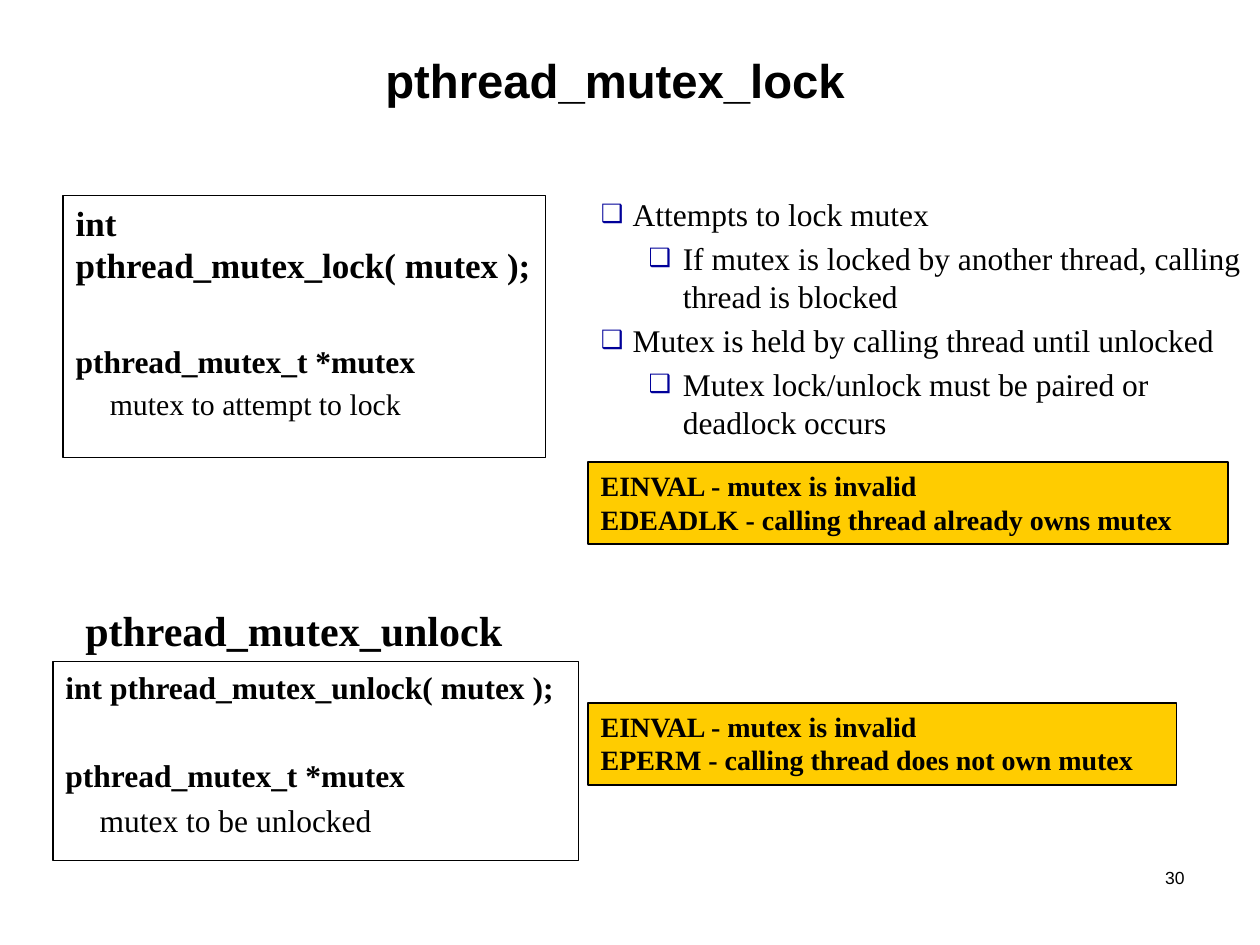
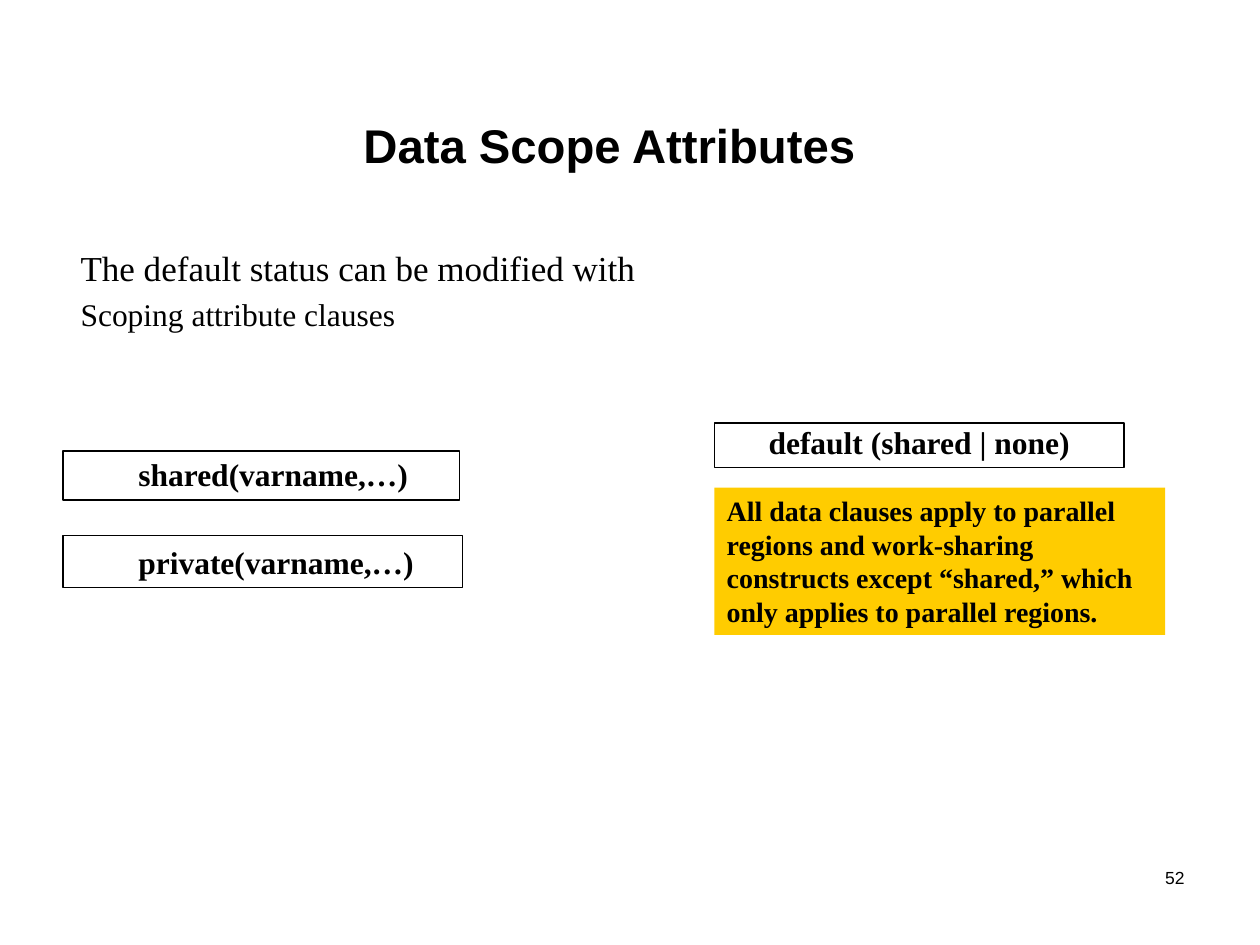
from dataclasses import dataclass

from lxml.etree import SubElement
from pptx import Presentation
from pptx.dml.color import RGBColor
from pptx.enum.shapes import MSO_SHAPE
from pptx.enum.text import MSO_ANCHOR, MSO_AUTO_SIZE, PP_ALIGN
from pptx.oxml.ns import qn
from pptx.util import Cm, Pt


@dataclass(frozen=True)
class Theme:
    ink: str = "000000"
    paper: str = "FFFFFF"
    highlight: str = "FFCC00"
    bullet: str = "000099"
    title_font: str = "Arial"
    body_font: str = "Times New Roman"
    title_size: int = 27
    heading_size: int = 24
    lead_size: int = 20
    text_size: int = 18
    detail_size: int = 17
    note_size: int = 16
    number_size: int = 10


THEME = Theme()
BULLET_INDENTS = [(0.64, -0.64), (1.65, -0.69)]  # (left margin, first line) by level
NUMBER_AREA = (18.85, 17.35, 5.28, 1.27)


def line(text, size=THEME.text_size, **formats):
    return {"text": text, "size": size, **formats}


def note(*texts):
    return [line(text, THEME.note_size, bold=True, before=0) for text in texts]


# Content: areas are (left, top, width, height) in centimetres
CODE_BOX = {"fill": THEME.paper, "outline": 0.75}
ERROR_BOX = {"fill": THEME.highlight, "outline": 1}
CLAUSE_BOX = {**CODE_BOX, "anchor": MSO_ANCHOR.MIDDLE}

SLIDES = [
    {
        "number": "30",
        "layout": 3,
        "title": ("pthread_mutex_lock", (6.05, 0.81, 12.7, 1.57)),
        "bodies": [
            {"area": (1.27, 3.94, 9.73, 5.28), **CODE_BOX, "lines": [
                line("int pthread_mutex_lock( mutex );", THEME.lead_size, bold=True),
                line("pthread_mutex_t *mutex", bold=True, before=32),
                line("mutex to attempt to lock", THEME.detail_size, indent=0.69),
            ]},
            {"area": (11.86, 3.81, 13.54, 5.92), "lines": [
                line("Attempts to lock mutex", level=0),
                line("If mutex is locked by another thread, calling thread is blocked", level=1),
                line("Mutex is held by calling thread until unlocked", level=0),
                line("Mutex lock/unlock must be paired or deadlock occurs", level=1),
            ]},
        ],
        "boxes": [
            {"area": (11.86, 9.32, 12.9, 1.65), **ERROR_BOX, "lines": note(
                "EINVAL - mutex is invalid",
                "EDEADLK - calling thread already owns mutex")},
            {"area": (1.47, 12.07, 9.09, 1.57), "lines": [
                line("pthread_mutex_unlock", THEME.heading_size, bold=True)]},
            {"area": (1.07, 13.34, 10.59, 4.01), **CODE_BOX, "lines": [
                line("int pthread_mutex_unlock( mutex );", bold=True),
                line("pthread_mutex_t *mutex", bold=True, before=29),
                line("mutex to be unlocked", indent=0.69),
            ]},
            {"area": (11.86, 14.17, 11.86, 1.65), **ERROR_BOX, "lines": note(
                "EINVAL - mutex is invalid",
                "EPERM - calling thread does not own mutex")},
        ],
    },
    {
        "number": "52",
        "layout": 1,
        "title": ("Data Scope Attributes", (4.88, 2.29, 14.81, 1.27)),
        "bodies": [
            {"area": (1.37, 4.85, 12.6, 2.11), "lines": [
                line("The default status can be modified with", THEME.lead_size),
                line("Scoping attribute clauses"),
            ]},
        ],
        "boxes": [
            {"area": (1.27, 10.8, 8.05, 1.04), **CLAUSE_BOX, "lines": [
                line("private(varname,…)", bold=True, indent=1.27)]},
            {"area": (1.27, 9.09, 8, 0.99), **CLAUSE_BOX, "lines": [
                line("shared(varname,…)", bold=True, indent=1.27, spacing=0.94)]},
            {"area": (14.4, 8.53, 8.26, 0.89), **CLAUSE_BOX, "lines": [
                line("default (shared | none)", bold=True, spacing=0.8,
                     align=PP_ALIGN.CENTER)]},
            {"area": (14.4, 9.83, 9.09, 2.97), "fill": THEME.highlight, "lines": note(
                "All data clauses apply to parallel regions and work-sharing "
                "constructs except “shared,” which only applies to parallel regions.")},
        ],
    },
]


def apply(target, formats):
    for name, value in formats.items():
        setattr(target, name, value)


def place(shape, area):
    apply(shape, dict(zip(("left", "top", "width", "height"), map(Cm, area))))


def set_bullet(paragraph, level):
    """Indent a paragraph, with a box bullet if it has a list level."""
    properties = paragraph._p.get_or_add_pPr()
    if level is None:
        SubElement(properties, qn("a:buNone"))
        return
    paragraph.level = level
    color = SubElement(properties, qn("a:buClr"))
    SubElement(color, qn("a:srgbClr"), val=THEME.bullet)
    SubElement(properties, qn("a:buSzPct"), val="80000")
    SubElement(properties, qn("a:buChar"), char="❑")


def write(shape, lines, font=THEME.body_font, anchor=MSO_ANCHOR.TOP):
    frame = shape.text_frame
    apply(frame, {"word_wrap": True, "auto_size": MSO_AUTO_SIZE.NONE,
                  "vertical_anchor": anchor})
    for index, item in enumerate(lines):
        paragraph = frame.add_paragraph() if index else frame.paragraphs[0]
        level = item.get("level")
        set_bullet(paragraph, level)
        left, first = (item.get("indent", 0), 0) if level is None else BULLET_INDENTS[level]
        properties = paragraph._p.get_or_add_pPr()
        properties.set("marL", str(Cm(left)))
        properties.set("indent", str(Cm(first)))
        before = item.get("before", item["size"] / 5) if index else 0
        apply(paragraph, {"alignment": item.get("align", PP_ALIGN.LEFT),
                          "space_before": Pt(before),
                          "line_spacing": item.get("spacing")})
        run = paragraph.add_run()
        run.text = item["text"]
        apply(run.font, {"name": font, "size": Pt(item["size"]),
                         "bold": item.get("bold", False)})
        run.font.color.rgb = RGBColor.from_string(THEME.ink)


def paint(shape, fill, outline=None):
    shape.shadow.inherit = False
    shape.fill.solid()
    shape.fill.fore_color.rgb = RGBColor.from_string(fill)
    if outline:
        shape.line.color.rgb = RGBColor.from_string(THEME.ink)
        shape.line.width = Pt(outline)
    else:
        shape.line.fill.background()


def fill_box(shape, box):
    if "fill" in box:
        paint(shape, box["fill"], box.get("outline"))
    write(shape, box["lines"], anchor=box.get("anchor", MSO_ANCHOR.TOP))


def add_box(slide, box):
    area = map(Cm, box["area"])
    if "fill" in box:
        shape = slide.shapes.add_shape(MSO_SHAPE.RECTANGLE, *area)
    else:
        shape = slide.shapes.add_textbox(*area)
    fill_box(shape, box)


def build_slide(presentation, content):
    slide = presentation.slides.add_slide(presentation.slide_layouts[content["layout"]])

    # Title and slide number
    text, area = content["title"]
    title = slide.shapes.title
    place(title, area)
    write(title, [line(text, THEME.title_size, bold=True, align=PP_ALIGN.CENTER)],
          THEME.title_font, MSO_ANCHOR.MIDDLE)
    number = slide.shapes.add_textbox(*map(Cm, NUMBER_AREA))
    write(number, [line(content["number"], THEME.number_size, align=PP_ALIGN.RIGHT)],
          THEME.title_font)

    # Body placeholders, then free boxes
    for placeholder, body in zip(list(slide.placeholders)[1:], content["bodies"]):
        place(placeholder, body["area"])
        fill_box(placeholder, body)
    for box in content["boxes"]:
        add_box(slide, box)


def main():
    presentation = Presentation()
    apply(presentation, {"slide_width": Cm(25.4), "slide_height": Cm(19.05)})
    for content in SLIDES:
        build_slide(presentation, content)
    presentation.save("out.pptx")


if __name__ == "__main__":
    main()
